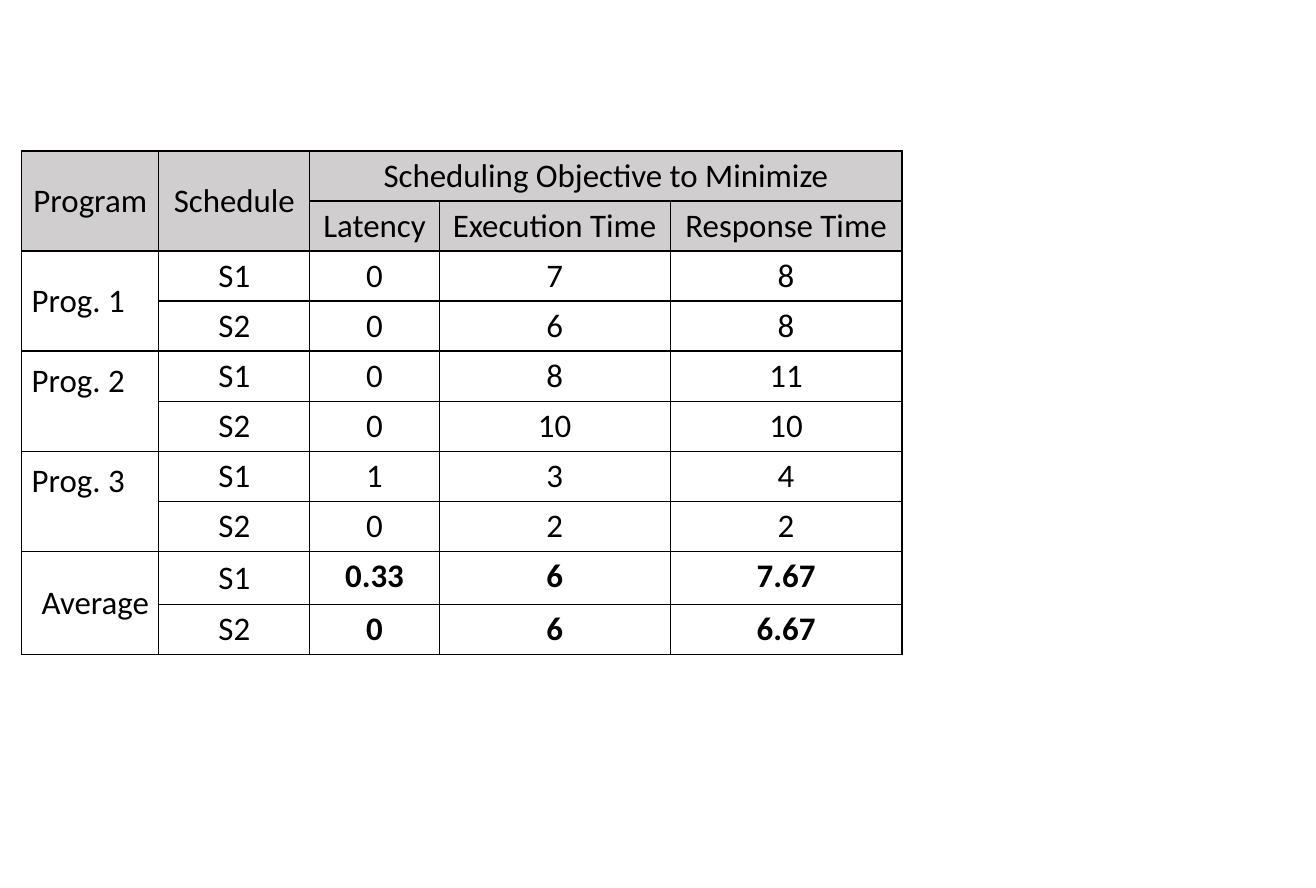
import pptx
import pptx.util
import pptx.dml.color
import pptx.enum.text
import pptx.oxml
import pptx.oxml.ns
from pptx.util import Inches

ALIGN = pptx.enum.text.PP_ALIGN
ANCHOR = pptx.enum.text.MSO_ANCHOR

HEAD = [
    ["Program", "Schedule", "Scheduling Objective to Minimize", "", ""],
    ["", "", "Latency", "Execution Time", "Response Time"],
]
# name, alignment, bottom margin, values of S1 and S2
GROUPS = [
    ("Prog. 1", ALIGN.LEFT, 0.05, [(0, 7, 8), (0, 6, 8)]),
    ("Prog. 2", ALIGN.LEFT, 0.45, [(0, 8, 11), (0, 10, 10)]),
    ("Prog. 3", ALIGN.LEFT, 0.45, [(1, 3, 4), (0, 2, 2)]),
    ("Average", ALIGN.RIGHT, 0.05, [(0.33, 6, 7.67), (0, 6, 6.67)]),
]
WIDTHS = [1.39, 1.53, 1.31, 2.34, 2.35]
HEIGHTS = [0.41, 0.41, 0.41, 0.41, 0.41, 0.43, 0.41, 0.41, 0.54, 0.41]


def color(code):
    return pptx.dml.color.RGBColor.from_string(code)


def border(cell, code="000000", width=1):
    props = cell._tc.get_or_add_tcPr()
    space = pptx.oxml.ns.nsdecls("a")
    for spot, side in enumerate(("lnL", "lnR", "lnT", "lnB")):
        props.insert(spot, pptx.oxml.parse_xml(
            f'<a:{side} {space} w="{pptx.util.Pt(width)}"><a:solidFill>'
            f'<a:srgbClr val="{code}"/></a:solidFill></a:{side}>'))


def write(cell, text, align=ALIGN.CENTER, anchor=ANCHOR.MIDDLE, bold=False,
          bottom=0.05):
    cell.vertical_anchor = anchor
    cell.margin_bottom = Inches(bottom)
    para = cell.text_frame.paragraphs[0]
    para.alignment = align
    run = para.add_run()
    run.text = str(text)
    run.font.name = "Calibri"
    run.font.size = pptx.util.Pt(24)
    run.font.bold = bold
    run.font.color.rgb = color("000000")


deck = pptx.Presentation()
deck.slide_width, deck.slide_height = Inches(40 / 3), Inches(9)
slide = deck.slides.add_slide(deck.slide_layouts[6])
table = slide.shapes.add_table(
    len(HEIGHTS), len(WIDTHS), Inches(0.22), Inches(1.53),
    Inches(sum(WIDTHS)), Inches(sum(HEIGHTS))).table
table.first_row = table.horz_banding = False

for col, width in zip(table.columns, WIDTHS):
    col.width = Inches(width)
for row, height in enumerate(HEIGHTS):
    table.rows[row].height = Inches(height)
    for cell in table.rows[row].cells:
        if row < len(HEAD):
            cell.fill.solid()
            cell.fill.fore_color.rgb = color("D0CECE")
        else:
            cell.fill.background()
        border(cell)

table.cell(0, 0).merge(table.cell(1, 0))
table.cell(0, 1).merge(table.cell(1, 1))
table.cell(0, 2).merge(table.cell(0, 4))
for row, labels in enumerate(HEAD):
    for col, label in enumerate(labels):
        if label:
            write(table.cell(row, col), label)

for group, (name, align, bottom, plans) in enumerate(GROUPS):
    top = len(HEAD) + 2 * group
    table.cell(top, 0).merge(table.cell(top + 1, 0))
    write(table.cell(top, 0), name, align=align, bottom=bottom)
    for step, values in enumerate(plans):
        write(table.cell(top + step, 1), f"S{step + 1}")
        for col, value in enumerate(values, 2):
            write(table.cell(top + step, col), value, anchor=ANCHOR.TOP,
                  bold=name == "Average")

deck.save("out.pptx")
